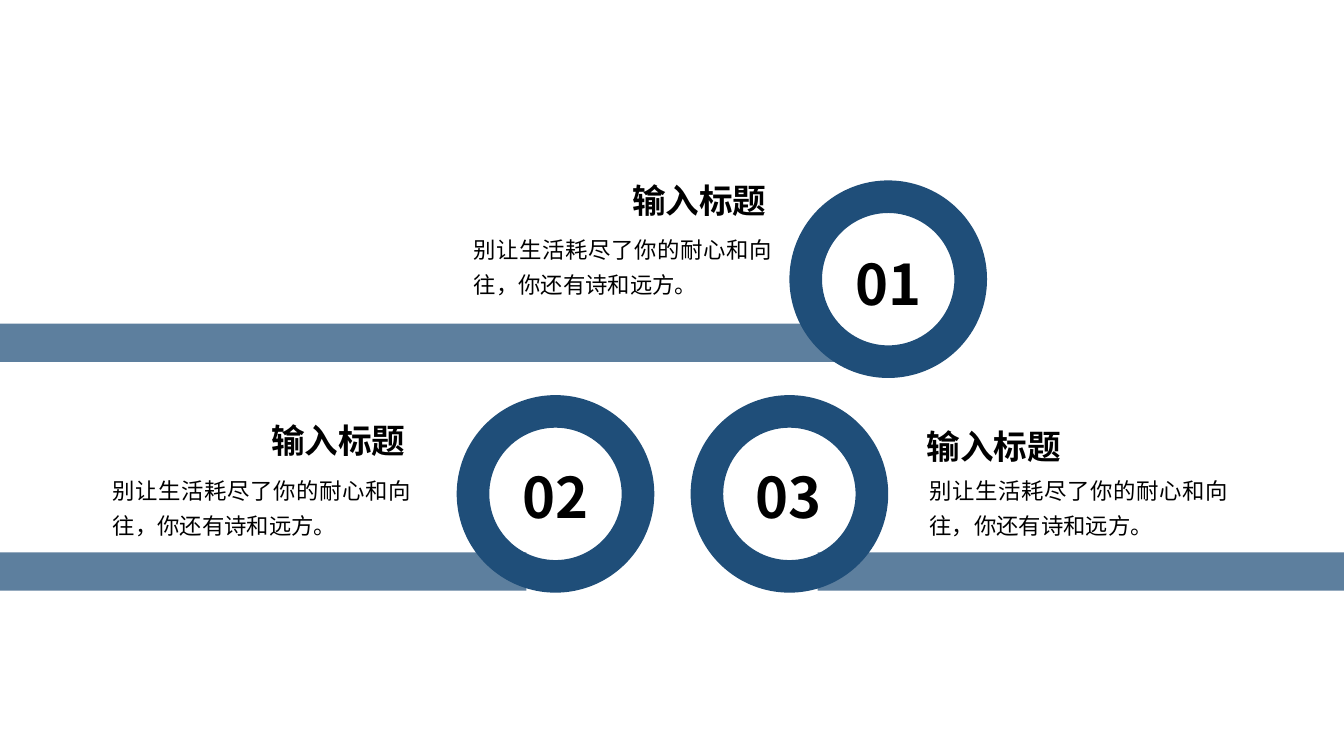
"""Build a slide of three numbered rings, each with a bar, a title and a short text."""
from dataclasses import dataclass

from lxml.etree import SubElement
from pptx import Presentation
from pptx.dml.color import RGBColor
from pptx.enum.shapes import MSO_SHAPE as Shape
from pptx.enum.text import MSO_AUTO_SIZE as Fit, PP_ALIGN as Align
from pptx.oxml.ns import qn
from pptx.util import Inches, Pt


@dataclass(frozen=True)
class Theme:
    blue: RGBColor = RGBColor(0x1F, 0x4E, 0x79)
    black: RGBColor = RGBColor(0, 0, 0)
    face: str = "Noto Sans CJK JP"
    number: int = 40
    title: int = 24
    body: int = 16
    alpha: int = 72000


theme = Theme()


def add_form(group, kind, *box):
    form = group.shapes.add_shape(kind, *map(Inches, box))
    form.shadow.inherit = False
    form.fill.solid()
    form.fill.fore_color.rgb = theme.blue
    form.line.fill.background()
    return form


def add_text(group, text, box, size, align, bold=False):
    area = group.shapes.add_textbox(*map(Inches, box))
    frame = area.text_frame
    frame.text = text
    frame.word_wrap = True
    frame.auto_size = Fit.SHAPE_TO_FIT_TEXT
    par = frame.paragraphs[0]
    par.alignment = align
    font = par.runs[0].font
    font.name = theme.face
    font.size = Pt(size)
    font.bold = bold
    font.color.rgb = theme.black
    SubElement(par.runs[0]._r.rPr, qn("a:ea"), typeface=theme.face)
    return frame


deck = Presentation()
deck.slide_width = Inches(13.33)
deck.slide_height = Inches(7.5)
slide = deck.slides.add_slide(deck.slide_layouts[6])

ring = 1.96
title = "输入标题"
body = "别让生活耗尽了你的耐心和向往，你还有诗和远方。"
items = [
    ("01", (7.83, 1.79), (0, 3.21, 8.28), (8.25, 2.43, 1.12), (6.17, 1.74), (4.7, 2.26)),
    ("02", (4.53, 3.92), (0, 5.48, 5.22), (5.06, 4.54, 0.89), (2.59, 4.12), (1.12, 4.65)),
    ("03", (6.85, 3.92), (8.11, 5.48, 5.22), (7.38, 4.54, 0.89), (9.09, 4.18), (9.22, 4.65)),
]

for number, spot, bar, label, head, note in items:
    badge = slide.shapes.add_group_shape()
    band = add_form(badge, Shape.RECTANGLE, *bar, 0.38)
    color = band.fill._xPr.find(qn("a:solidFill"))[0]
    SubElement(color, qn("a:alpha"), val=str(theme.alpha))
    donut = add_form(badge, Shape.DONUT, *spot, ring, ring)
    donut.adjustments[0] = 0.165
    add_text(badge, number, (*label, 0.77), theme.number, Align.CENTER, True)

    words = slide.shapes.add_group_shape()
    frame = add_text(words, body, (*note, 2.96, 0.66), theme.body, Align.JUSTIFY)
    frame.margin_left = frame.margin_right = 0
    frame.margin_top = frame.margin_bottom = 0
    frame.paragraphs[0].line_spacing = 1.3
    add_text(words, title, (*head, 1.55, 0.5), theme.title, Align.JUSTIFY, True)

deck.save("out.pptx")
